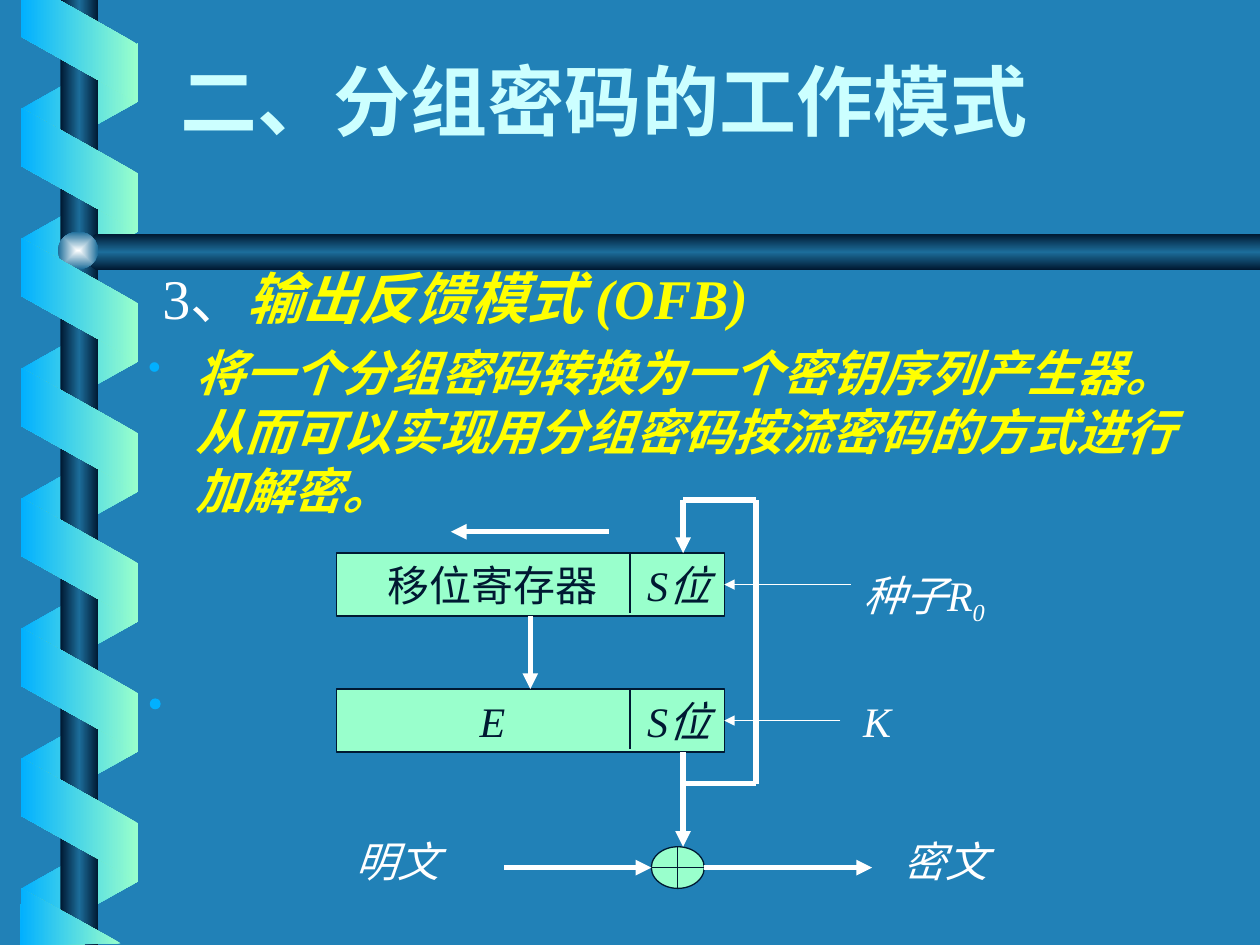
import pptx
import pptx.util
import pptx.dml.color
import pptx.enum.shapes
import pptx.enum.text
import pptx.oxml
import pptx.oxml.ns
import lxml.etree

Cm, Pt = pptx.util.Cm, pptx.util.Pt
RGB = pptx.dml.color.RGBColor
SHAPE = pptx.enum.shapes.MSO_SHAPE
ANCHOR = pptx.enum.text.MSO_ANCHOR
qn = pptx.oxml.ns.qn

BACK, WHITE, YELLOW = RGB(0x21, 0x81, 0xB7), RGB(255, 255, 255), RGB(255, 255, 0)
TITLE, MINT, SKY = RGB(0xCC, 255, 255), RGB(0x99, 255, 0xCC), RGB(1, 0xB0, 255)
NAVY, STEEL, SHINE = RGB(0, 0x19, 0x32), RGB(0x1C, 0x6D, 0x9A), RGB(0xFE, 255, 255)
SERIF, NARROW = "Times New Roman", "Arial Narrow"

# Content: a run is (text, format)
EMPH = dict(color=YELLOW, bold=True, italic=True)
TITLE_RUNS = [("二、分组密码", dict(font=NARROW)), ("的工作模式", {})]
HEADING_RUNS = [(" 3、", {}), ("输出反馈模式 (OFB)", EMPH)]
BODY_RUNS = [("将一个分组密码转换为一个密钥序列产生器。"
              "从而可以实现用分组密码按流密码的方式进行加解密。", EMPH)]
REGISTER_RUNS = [("\t移位寄存器\t", {}), ("S位", dict(italic=True))]
CIPHER_RUNS = [("\tE\tS位", dict(italic=True))]
LABELS = [  # runs, left, top, width, height
    ([("明文", {})], 6.91, 16.71, 2.54, 1.27),
    ([("密文", {})], 17.96, 16.71, 2.54, 1.27),
    ([("种子R", {}), ("0", dict(base=-25))], 17.15, 11.35, 4.65, 1.42),
    ([("K", {})], 17.15, 13.89, 2.97, 1.27),
]

# Diagram geometry in cm
BOX_X, BOX_W, BOX_H = 6.78, 7.82, 1.27
BOX_TOPS = [11.15, 13.89]
DIVIDER_X, TAP_X, LOOP_X = 12.7, 13.77, 15.24
LOOP_TOP, LOOP_BOTTOM = 10.08, 15.8
XOR_X, XOR_Y, XOR_W, XOR_H = 13.13, 17.07, 1.07, 0.84

prs = pptx.Presentation()
prs.slide_width, prs.slide_height = Cm(25.4), Cm(19.05)
s = prs.slides.add_slide(prs.slide_layouts[6])
s.background.fill.solid()
s.background.fill.fore_color.rgb = BACK


def add_text(p, runs, size=24, color=WHITE, font=SERIF, bold=False, italic=False):
    for text, own in runs:
        r = p.add_run()
        r.text = text
        r.font.size = Pt(size)
        r.font.name = own.get("font", font)
        r.font.bold = own.get("bold", bold)
        r.font.italic = own.get("italic", italic)
        r.font.color.rgb = own.get("color", color)
        if "base" in own:
            r.font._element.set("baseline", str(own["base"] * 1000))


def add_box(x, y, w, h):
    tf = s.shapes.add_textbox(Cm(x), Cm(y), Cm(w), Cm(h)).text_frame
    tf.word_wrap = True
    return tf


def set_gradient(sp, *colors, angle=None):
    """Even stops; without an angle the gradient runs out from the centre."""
    stops = "".join(
        f'<a:gs pos="{100000 * i // (len(colors) - 1)}"><a:srgbClr val="{c}"/></a:gs>'
        for i, c in enumerate(colors))
    if angle is None:
        way = '<a:path path="rect"><a:fillToRect l="50000" t="50000" r="50000" b="50000"/></a:path>'
    else:
        way = f'<a:lin ang="{angle * 60000}" scaled="0"/>'
    sp.fill.background()
    spPr = sp._element.spPr
    spPr.replace(spPr.find(qn("a:noFill")), pptx.oxml.parse_xml(
        f'<a:gradFill {pptx.oxml.ns.nsdecls("a")} rotWithShape="0">'
        f'<a:gsLst>{stops}</a:gsLst>{way}</a:gradFill>'))
    sp.line.fill.background()
    sp.shadow.inherit = False


def add_shape(kind, x, y, w, h):
    return s.shapes.add_shape(kind, Cm(x), Cm(y), Cm(w), Cm(h))


def add_outline(points):
    start, *rest = [(Cm(x), Cm(y)) for x, y in points]
    fb = s.shapes.build_freeform(*start)
    fb.add_line_segments(rest, close=True)
    return fb.convert_to_shape()


def add_band(y, flip):
    sp = add_shape(SHAPE.PARALLELOGRAM, 0.36, y, 2.49, 2.36)
    sp.adjustments[0] = 0.56
    sp.rotation = 90 if flip else 270
    if flip:
        sp._element.spPr.xfrm.set("flipH", "1")
    set_gradient(sp, *((SKY, MINT) if flip else (MINT, SKY)), angle=180)


def add_line(x1, y1, x2, y2, width=3, color=WHITE, arrow=False):
    c = s.shapes.add_connector(pptx.enum.shapes.MSO_CONNECTOR.STRAIGHT,
                               Cm(x1), Cm(y1), Cm(x2), Cm(y2))
    c.line.width = Pt(width)
    c.line.color.rgb = color
    if arrow:
        lxml.etree.SubElement(c.line._get_or_add_ln(), qn("a:tailEnd"), type="triangle")
    lxml.etree.SubElement(c._element.spPr, qn("a:effectLst"))
    return c


def add_mint(kind, x, y, w, h):
    sp = add_shape(kind, x, y, w, h)
    sp.fill.solid()
    sp.fill.fore_color.rgb = MINT
    sp.line.color.rgb = NAVY
    sp.line.width = Pt(0.75)
    sp.shadow.inherit = False
    return sp


def add_register(y, runs):
    sp = add_mint(SHAPE.RECTANGLE, BOX_X, y, BOX_W, BOX_H)
    tf = sp.text_frame
    tf.margin_left = tf.margin_right = 0
    tf.vertical_anchor = ANCHOR.MIDDLE
    p = tf.paragraphs[0]
    tabs = lxml.etree.SubElement(p._p.get_or_add_pPr(), qn("a:tabLst"))
    for pos in (3.15, 6.9):
        lxml.etree.SubElement(tabs, qn("a:tab"), pos=str(Cm(pos)), algn="ctr")
    p.alignment = pptx.enum.text.PP_ALIGN.LEFT
    add_text(p, runs, color=NAVY)
    return sp


# Ribbon wound round a pole, with a horizontal rod
for i in range(7):
    add_band(0.94 + 2.62 * i, flip=True)
set_gradient(add_shape(SHAPE.RECTANGLE, 1.22, 0, 0.76, 19.05), NAVY, STEEL, NAVY, angle=180)
rod = add_outline([(25.4, 4.72), (1.93, 4.72), (1.52, 5.08), (1.93, 5.44), (25.4, 5.44)])
set_gradient(rod, NAVY, STEEL, NAVY, angle=90)
set_gradient(add_shape(SHAPE.OVAL, 1.17, 4.67, 0.81, 0.76), SHINE, STEEL)
for i in range(6):
    add_band(2.24 + 2.62 * i, flip=False)
for end in ([(0.43, 0), (0.43, 0.74), (2.77, 2.06), (2.77, 0.89), (1.19, 0)],
            [(2.44, 19.02), (0.43, 17.91), (0.41, 19.05)]):
    set_gradient(add_outline(end), MINT, SKY, angle=180)

# Title and body
tf = add_box(3.38, 1.17, 18.21, 1.9)
tf.vertical_anchor = ANCHOR.BOTTOM
add_text(tf.paragraphs[0], TITLE_RUNS, size=44, color=TITLE, bold=True)

tf = add_box(2.74, 5.18, 21.59, 13.34)
heading, body = tf.paragraphs[0], tf.add_paragraph()
for p in (heading, body):
    pPr = p._p.get_or_add_pPr()
    pPr.set("marL", str(Cm(0.95)))
    pPr.set("indent", str(Cm(-0.95)))
bu = lxml.etree.SubElement(pPr, qn("a:buClr"))
lxml.etree.SubElement(bu, qn("a:srgbClr"), val=str(SKY))
lxml.etree.SubElement(pPr, qn("a:buSzPct"), val="75000")
lxml.etree.SubElement(pPr, qn("a:buChar"), char="•")
body.space_before = Pt(7)
add_text(heading, HEADING_RUNS, size=32)
add_text(body, BODY_RUNS, size=28, font=NARROW)

# Lone bullet dot beside the diagram
dot = add_shape(SHAPE.OVAL, 3.02, 14.08, 0.22, 0.22)
dot.fill.solid()
dot.fill.fore_color.rgb = SKY
dot.line.fill.background()
dot.shadow.inherit = False

# Register, cipher and XOR
register, cipher = [add_register(y, runs)
                    for y, runs in zip(BOX_TOPS, (REGISTER_RUNS, CIPHER_RUNS))]
add_mint(SHAPE.FLOWCHART_OR, XOR_X, XOR_Y, XOR_W, XOR_H)
for y in BOX_TOPS:
    add_line(DIVIDER_X, y, DIVIDER_X, y + 1.2, width=0.75, color=NAVY)

# Flow and feedback loop
mid_x, right = BOX_X + BOX_W / 2, BOX_X + BOX_W
c = add_line(mid_x, BOX_TOPS[0] + BOX_H, mid_x, BOX_TOPS[1], arrow=True)
c.begin_connect(register, 2)
c.end_connect(cipher, 0)
add_line(TAP_X, BOX_TOPS[1] + BOX_H, TAP_X, XOR_Y, arrow=True)
add_line(TAP_X, LOOP_BOTTOM, LOOP_X, LOOP_BOTTOM)
add_line(LOOP_X, LOOP_TOP, LOOP_X, LOOP_BOTTOM)
add_line(TAP_X, LOOP_TOP, LOOP_X, LOOP_TOP)
add_line(TAP_X, LOOP_TOP, TAP_X, BOX_TOPS[0], arrow=True)
add_line(12.27, 10.72, 9.09, 10.72, arrow=True)
row_y = XOR_Y + XOR_H / 2
add_line(10.16, row_y, XOR_X, row_y, arrow=True)
add_line(XOR_X + XOR_W, row_y, 17.58, row_y, arrow=True)

# Inputs and labels
for sp, y, x in zip((register, cipher), BOX_TOPS, (17.15, 16.94)):
    c = add_line(x, y + BOX_H / 2, right, y + BOX_H / 2, width=0.75, arrow=True)
    c.end_connect(sp, 3)
for runs, *place in LABELS:
    add_text(add_box(*place).paragraphs[0], runs, italic=True)

prs.save("out.pptx")
